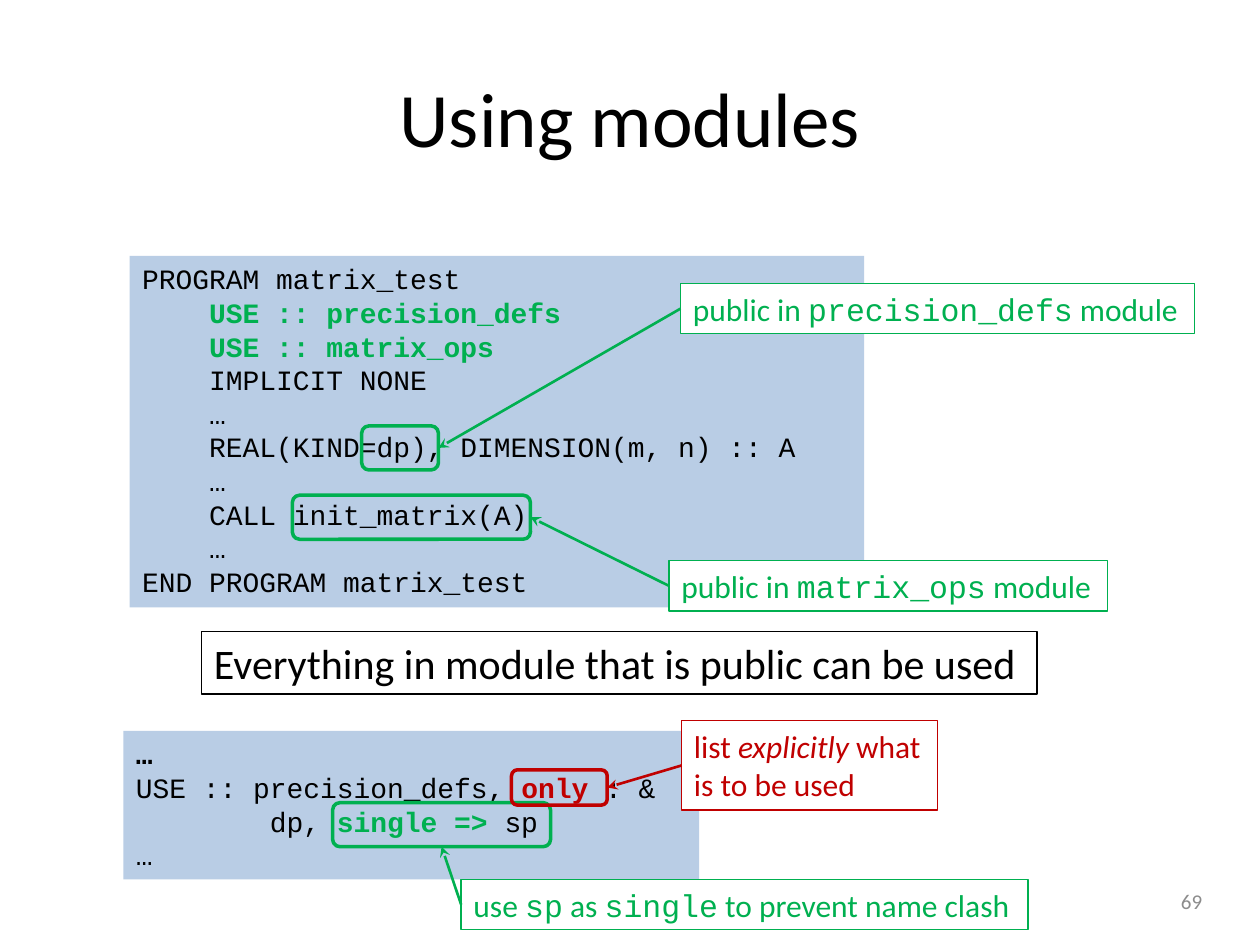
from collections import namedtuple

from lxml.etree import SubElement
from pptx import Presentation
from pptx.dml.color import RGBColor
from pptx.enum.shapes import MSO_CONNECTOR, MSO_SHAPE
from pptx.enum.text import MSO_ANCHOR, MSO_AUTO_SIZE, PP_ALIGN
from pptx.oxml.ns import qn
from pptx.util import Inches, Pt

BLACK = RGBColor(0, 0, 0)
WHITE = RGBColor(255, 255, 255)
GRAY = RGBColor(0x8C, 0x8C, 0x8C)
GREEN = RGBColor(0x00, 0xB0, 0x50)
RED = RGBColor(0xC0, 0x00, 0x00)
PALE_BLUE = RGBColor(0xB9, 0xCD, 0xE5)

BODY = "Calibri"
MONO = "Courier New"
CELL = Inches(0.1)
COLUMNS, ROWS = 100, 75
TOP, LEFT, BOTTOM, RIGHT = range(4)
LINE_BREAK = "\n"

Span = namedtuple("Span", "text color font bold italic",
                  defaults=(BLACK, BODY, False, False))


def code(text, color=BLACK, bold=False):
    return Span(text, color, MONO, bold)


def grid(*cells):
    return [round(cell * CELL) for cell in cells]


def write(frame, lines, size, align=PP_ALIGN.LEFT):
    for index, spans in enumerate(lines):
        para = frame.paragraphs[0] if index == 0 else frame.add_paragraph()
        para.alignment = align
        for span in spans:
            if span.text == LINE_BREAK:
                para.add_line_break()
                continue
            run = para.add_run()
            run.text = span.text
            run.font.size = Pt(size)
            run.font.name = span.font
            run.font.color.rgb = span.color
            run.font.bold = span.bold
            run.font.italic = span.italic


def add_box(page, cells, kind=MSO_SHAPE.RECTANGLE, fill=None, line=None, width=0.75):
    box = page.shapes.add_shape(kind, *grid(*cells))
    box.shadow.inherit = False
    if fill is None:
        box.fill.background()
    else:
        box.fill.solid()
        box.fill.fore_color.rgb = fill
    if line is None:
        box.line.fill.background()
    else:
        box.line.color.rgb = line
        box.line.width = Pt(width)
    return box


def add_text_box(page, cells, lines, size, wrap=False, **style):
    box = add_box(page, cells, **style)
    frame = box.text_frame
    frame.word_wrap = wrap
    frame.auto_size = MSO_AUTO_SIZE.SHAPE_TO_FIT_TEXT
    frame.vertical_anchor = MSO_ANCHOR.TOP
    write(frame, lines, size)
    return box


def add_code(page, cells, lines):
    return add_text_box(page, cells, lines, 16, wrap=True, fill=PALE_BLUE)


def add_callout(page, frame_cells, label_cells, spans, color, side=RIGHT):
    frame = add_box(page, frame_cells, MSO_SHAPE.ROUNDED_RECTANGLE, line=color, width=2)
    label = add_text_box(page, label_cells, [spans], 18, fill=WHITE, line=color)
    arrow = page.shapes.add_connector(MSO_CONNECTOR.STRAIGHT, 0, 0, 0, 0)
    arrow.begin_connect(label, LEFT)
    arrow.end_connect(frame, side)
    arrow.line.color.rgb = color
    arrow.line.width = Pt(1.5)
    SubElement(arrow.line._get_or_add_ln(), qn("a:tailEnd"), type="stealth")
    SubElement(arrow._element.spPr, qn("a:effectLst"))


def add_title(page, text):
    title = page.shapes.title
    title.left, title.top, title.width, title.height = grid(5, 3, 90, 12.5)
    title.text_frame.vertical_anchor = MSO_ANCHOR.MIDDLE
    write(title.text_frame, [[Span(text)]], 44, PP_ALIGN.CENTER)


def add_page_number(page, number):
    box = page.shapes.add_textbox(*grid(73.1, 69.5, 23.3, 4))
    box.text_frame.word_wrap = True
    box.text_frame.vertical_anchor = MSO_ANCHOR.MIDDLE
    write(box.text_frame, [[Span(number, GRAY)]], 12, PP_ALIGN.RIGHT)


def main():
    deck = Presentation()
    deck.slide_width, deck.slide_height = grid(COLUMNS, ROWS)
    page = deck.slides.add_slide(deck.slide_layouts[5])
    add_title(page, "Using modules")
    add_page_number(page, "69")

    add_code(page, (10.3, 20.3, 58.3, 27.9), [
        [code("PROGRAM matrix_test")],
        [code("    USE :: precision_defs", GREEN, True)],
        [code("    USE :: matrix_ops", GREEN, True)],
        [code("    IMPLICIT NONE")],
        [code("    …")],
        [code("    REAL(KIND=dp), DIMENSION(m, n) :: A")],
        [code("    …")],
        [code("    CALL init_matrix(A)")],
        [code("    …")],
        [code("END PROGRAM matrix_test")],
    ])
    public_callouts = [
        ("precision_defs", (28.7, 33.8, 6.1, 3.5), (54, 22.5, 40.8, 4)),
        ("matrix_ops", (23.2, 39.3, 18.9, 3.5), (53.1, 44.5, 34.8, 4)),
    ]
    for module, frame_cells, label_cells in public_callouts:
        add_callout(page, frame_cells, label_cells, [
            Span("public in ", GREEN), code(module, GREEN), Span(" module", GREEN),
        ], GREEN)

    add_text_box(page, (16, 50.1, 66.3, 5),
                 [[Span("Everything in module that is public can be used")]],
                 24, line=BLACK)

    add_code(page, (9.8, 58, 45.7, 11.8), [
        [code("…", bold=True)],
        [code("USE :: precision_defs, "), code("only", RED, True), code(" : &")],
        [code("        dp, "), code("single => ", GREEN, True), code("sp")],
        [code("…")],
    ])
    add_callout(page, (26.4, 63.7, 17.3, 3.5), (36.6, 69.8, 45, 4), [
        Span("use ", GREEN), code("sp", GREEN), Span(" as ", GREEN),
        code("single", GREEN), Span(" to prevent name clash", GREEN),
    ], GREEN, BOTTOM)
    add_callout(page, (40.6, 61.1, 7.6, 2.8), (54.1, 57.2, 20.3, 7.1), [
        Span("list ", RED), Span("explicitly", RED, italic=True), Span(" what", RED),
        Span(LINE_BREAK), Span("is to be used", RED),
    ], RED)

    deck.save("out.pptx")


if __name__ == "__main__":
    main()
